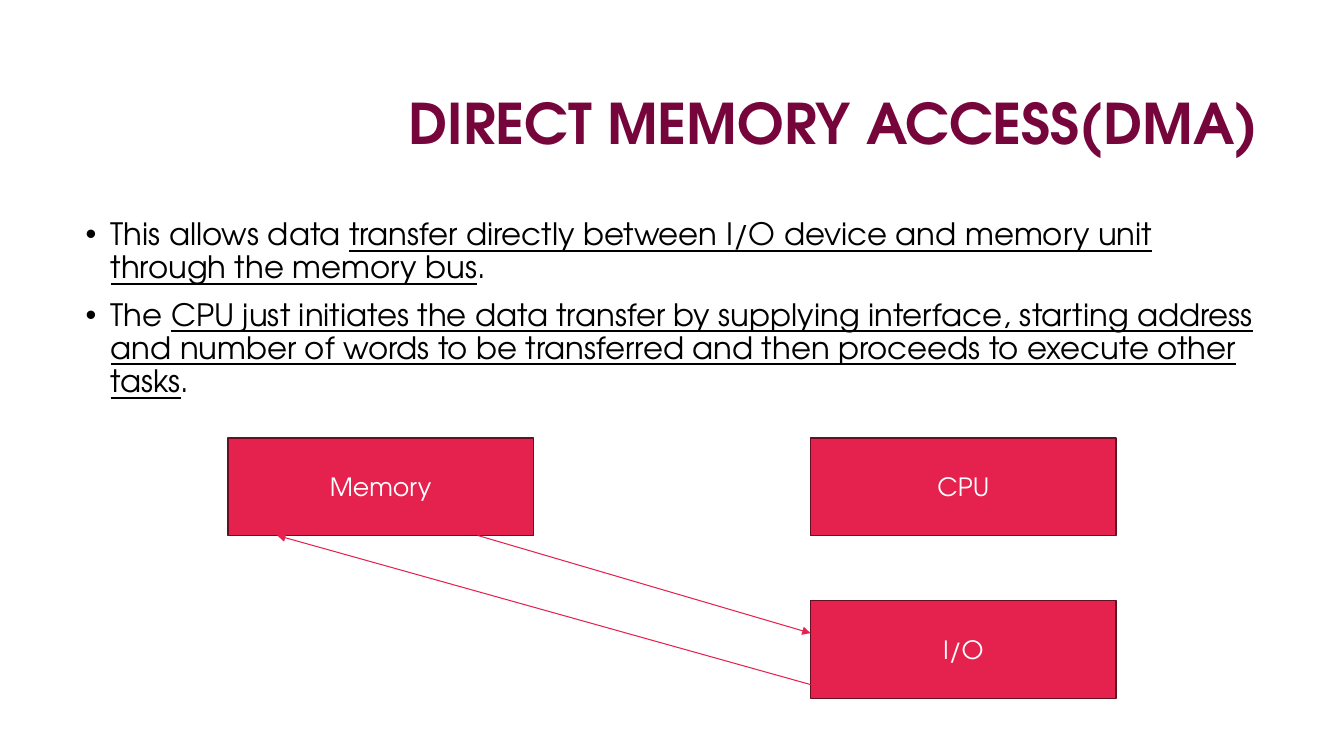
from pptx import Presentation
from pptx.dml.color import RGBColor as RGB
from pptx.enum.shapes import MSO_CONNECTOR as LINE, MSO_SHAPE as SHAPE
from pptx.enum.text import MSO_ANCHOR as ANCHOR, PP_ALIGN as ALIGN
from pptx.oxml.ns import qn
from pptx.util import Pt
from lxml.etree import SubElement as Sub

# Content: bullets are (text, underlined) runs
TITLE = "DIRECT MEMORY ACCESS(DMA)"
BULLETS = [
    [("This allows data ", False),
     ("transfer directly between I/O device and memory unit through the memory bus", True),
     (".", False)],
    [("The ", False),
     ("CPU just initiates the data transfer by supplying interface, starting address "
      "and number of words to be transferred and then proceeds to execute other tasks", True),
     (".", False)],
]
COLS, ROWS = (217, 772), (417, 572)
BOX_W, BOX_H = 291, 93
BOXES = [("Memory", 0, 0), ("I/O", 1, 1), ("CPU", 1, 0)]  # name, column, row
BASE = ROWS[0] + BOX_H
ARROWS = [(455, BASE, COLS[1], 603), (COLS[1], 652, 264, BASE)]

FONT = "TeX Gyre Adventor"
COLORS = {"title": "76053B", "text": "000000", "box": "E5224E",
          "edge": "640F22", "label": "FFFFFF"}
PX = 9525  # EMU per px
INDENT = 24


def px(*nums):
    return [n * PX for n in nums]


def color(name):
    return RGB.from_string(COLORS[name])


def style(para, size, name, bold=False):
    font = para.font
    font.name, font.size, font.bold = FONT, Pt(size), bold
    font.color.rgb = color(name)


def add_text(*area):
    frame = slide.shapes.add_textbox(*px(*area)).text_frame
    frame.word_wrap = True
    return frame


deck = Presentation()
deck.slide_width, deck.slide_height = px(1280, 720)
slide = deck.slides.add_slide(deck.slide_layouts[6])

# Title
frame = add_text(304, 53, 904, 135)
frame.vertical_anchor = ANCHOR.MIDDLE
para = frame.paragraphs[0]
para.text = TITLE
para.alignment, para.line_spacing = ALIGN.RIGHT, 0.9
style(para, 40, "title", True)

# Bullets
frame = add_text(72, 204, 1136, 463)
for i, runs in enumerate(BULLETS):
    para = frame.add_paragraph() if i else frame.paragraphs[0]
    para.line_spacing, para.space_before = 0.9, Pt(10)
    props = para._p.get_or_add_pPr()
    props.set("marL", str(INDENT * PX))
    props.set("indent", str(-INDENT * PX))
    Sub(props, qn("a:buFont"), typeface="Arial")
    Sub(props, qn("a:buChar"), char="•")
    style(para, 22, "text")
    for text, under in runs:
        run = para.add_run()
        run.text, run.font.underline = text, under

# Boxes
for name, col, row in BOXES:
    box = slide.shapes.add_shape(
        SHAPE.RECTANGLE, *px(COLS[col], ROWS[row], BOX_W, BOX_H))
    box.shadow.inherit = False
    box.fill.solid()
    box.fill.fore_color.rgb = color("box")
    box.line.color.rgb = color("edge")
    box.line.width = Pt(1)
    box.text_frame.vertical_anchor = ANCHOR.MIDDLE
    para = box.text_frame.paragraphs[0]
    para.text, para.alignment = name, ALIGN.CENTER
    style(para, 18, "label")

# Arrows
for ends in ARROWS:
    link = slide.shapes.add_connector(LINE.STRAIGHT, *px(*ends))
    link.line.color.rgb = color("box")
    link.line.width = Pt(0.75)
    Sub(link.line._get_or_add_ln(), qn("a:tailEnd"), type="triangle")
    Sub(link._element.spPr, qn("a:effectLst"))

deck.save("out.pptx")
